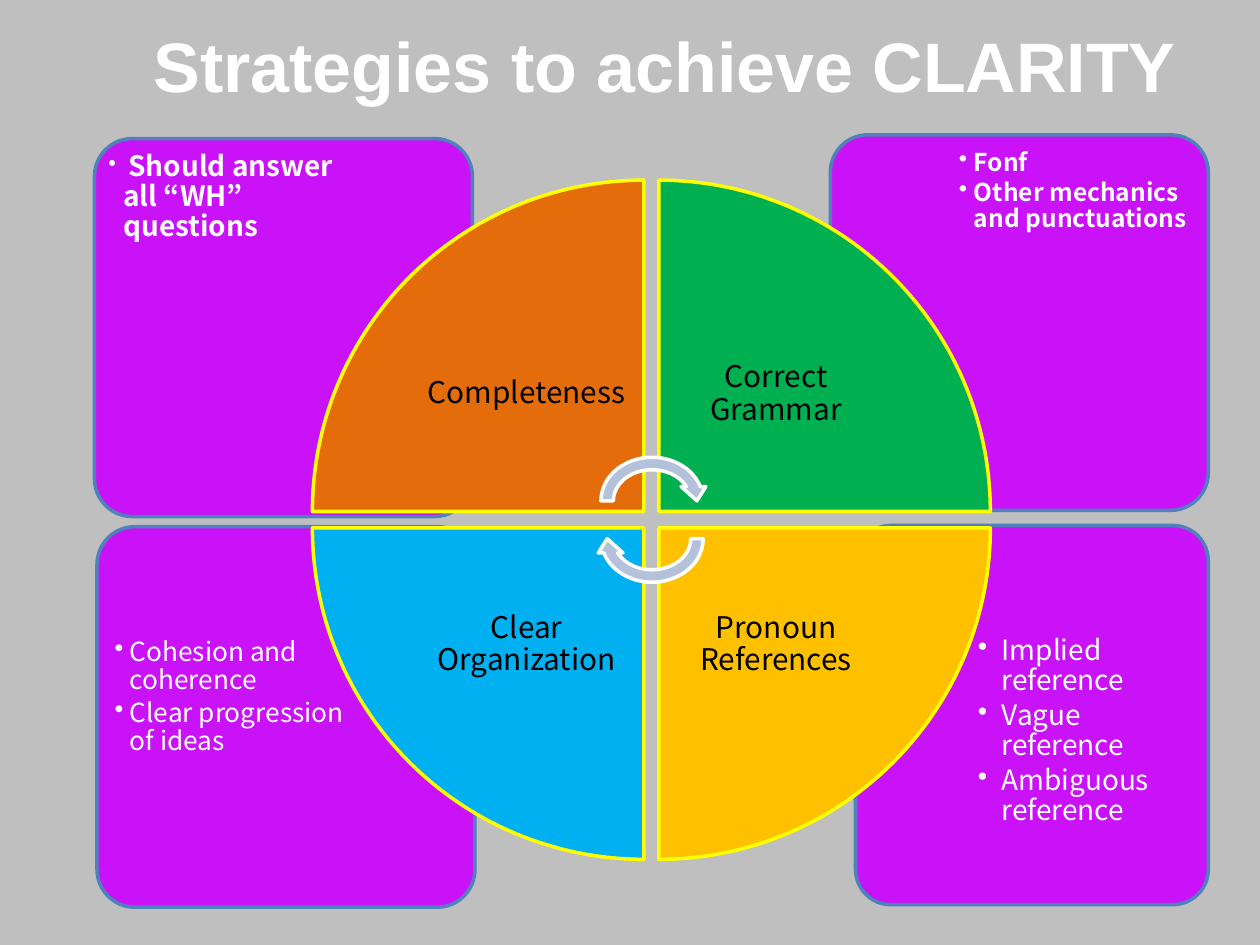
from dataclasses import dataclass

import pptx
import pptx.dml.color
import pptx.enum.shapes
import pptx.enum.text
import pptx.oxml
import pptx.oxml.ns
import pptx.util

Inches, Pt = pptx.util.Inches, pptx.util.Pt
RGB = pptx.dml.color.RGBColor
SHAPE = pptx.enum.shapes.MSO_SHAPE
ALIGN = pptx.enum.text.PP_ALIGN
ANCHOR = pptx.enum.text.MSO_ANCHOR
qn = pptx.oxml.ns.qn

GRAY = RGB(0xBF, 0xBF, 0xBF)
WHITE = RGB(0xFF, 0xFF, 0xFF)
BLACK = RGB(0, 0, 0)
PURPLE = RGB(0xCC, 0x00, 0xFF)
BLUE = RGB(0x4F, 0x81, 0xBD)
YELLOW = RGB(0xFF, 0xFF, 0x00)
ORANGE = RGB(0xE4, 0x6C, 0x0A)
GREEN = RGB(0x00, 0xB0, 0x50)
GOLD = RGB(0xFF, 0xC0, 0x00)
SKY = RGB(0x00, 0xB0, 0xF0)
ARROW = RGB(0xB3, 0xC1, 0xDB)
FONT = "Noto Sans CJK KR"

WEDGE, LABEL = 2.63, 1.86
COLS, ROWS = (2.48, 5.23), (1.43, 4.19)


@dataclass
class Panel:
    box: tuple[float, float, float, float]
    text_box: tuple[float, float, float, float]
    inset: float
    indent: float
    size: float
    bold: bool
    items: list[str]
    lead_size: float = 0  # size of a leading space run, if any


@dataclass
class Quadrant:
    label: str
    color: RGB
    col: int
    row: int
    rotation: int


PANELS = [
    Panel((6.79, 4.17, 2.8, 3.01), (7.69, 4.98, 1.85, 2.14), 0.07, 0.19, 16, False,
          ["Implied reference", "Vague reference", "Ambiguous reference"]),
    Panel((0.77, 4.18, 3, 3.02), (0.83, 4.99, 1.98, 2.15), 0.08, 0.12, 15, False,
          ["Cohesion and coherence", "Clear progression of ideas"]),
    Panel((6.59, 1.07, 3, 2.98), (7.55, 1.13, 1.98, 2.11), 0.06, 0.12, 14, True,
          ["Fonf", "Other mechanics and punctuations"]),
    Panel((0.75, 1.1, 3, 3), (0.81, 1.16, 1.98, 2.13), 0.05, 0.12, 16, True,
          ["Should answer all “WH” questions"], lead_size=13),
]
QUADRANTS = [
    Quadrant("Completeness", ORANGE, 0, 0, 0),
    Quadrant("Correct Grammar", GREEN, 1, 0, 90),
    Quadrant("Pronoun References", GOLD, 1, 1, 180),
    Quadrant("Clear Organization", SKY, 0, 1, 270),
]


def add_shape(s, kind, box, fill: RGB, line: RGB, rotation: float = 0):
    sp = s.shapes.add_shape(kind, *map(Inches, box))
    sp.shadow.inherit = False
    sp.fill.solid()
    sp.fill.fore_color.rgb = fill
    sp.line.color.rgb = line
    sp.line.width = Pt(2)
    sp.rotation = rotation
    return sp


def add_text_frame(s, box, inset: float):
    tf = s.shapes.add_textbox(*map(Inches, box)).text_frame
    tf.word_wrap = True
    tf.margin_left = tf.margin_right = Inches(inset)
    tf.margin_top = tf.margin_bottom = Inches(inset)
    return tf


def add_run(p, text: str, size: float, color: RGB, bold: bool = False, font: str = FONT) -> None:
    r = p.add_run()
    r.text = text
    r.font.name = font
    r.font.size = Pt(size)
    r.font.bold = bold
    r.font.color.rgb = color


def set_bullet(p, indent: float) -> None:
    pPr = p._p.get_or_add_pPr()
    pPr.set("marL", str(Inches(indent)))
    pPr.set("indent", str(-Inches(indent)))
    bu = pptx.oxml.parse_xml(
        '<a:buChar xmlns:a="http://schemas.openxmlformats.org/drawingml/2006/main" char="•"/>')
    pPr.append(bu)


def add_panel(s, panel: Panel) -> None:
    sp = add_shape(s, SHAPE.ROUNDED_RECTANGLE, panel.box, PURPLE, BLUE)
    sp.adjustments[0] = 0.1
    clr = sp.fill._xPr.find(qn("a:solidFill"))[0]
    clr.append(pptx.oxml.parse_xml(
        '<a:alpha xmlns:a="http://schemas.openxmlformats.org/drawingml/2006/main" val="90000"/>'))
    tf = add_text_frame(s, panel.text_box, panel.inset)
    for i, item in enumerate(panel.items):
        p = tf.add_paragraph() if i else tf.paragraphs[0]
        p.line_spacing = 0.9
        p.space_after = Pt(round(0.16 * panel.size, 1))
        set_bullet(p, panel.indent)
        if panel.lead_size:
            add_run(p, " ", panel.lead_size, WHITE)
        add_run(p, item, panel.size, WHITE, panel.bold)


def add_quadrant(s, q: Quadrant) -> None:
    x, y = COLS[q.col], ROWS[q.row]
    add_shape(s, SHAPE.PIE_WEDGE, (x, y, WEDGE, WEDGE), q.color, YELLOW, q.rotation)
    # The label sits in the wedge's inner corner
    gap = WEDGE - LABEL
    tf = add_text_frame(s, (x + gap * (1 - q.col), y + gap * (1 - q.row), LABEL, LABEL), 0.13)
    tf.vertical_anchor = ANCHOR.MIDDLE
    p = tf.paragraphs[0]
    p.alignment = ALIGN.CENTER
    p.line_spacing = 0.9
    add_run(p, q.label, 17, BLACK)


def add_title(s, text: str) -> None:
    sp = s.shapes.title
    sp.left, sp.top, sp.width, sp.height = map(Inches, (0.12, 0.02, 9.47, 0.98))
    tf = sp.text_frame
    tf.margin_left = Inches(1.1)
    tf.vertical_anchor = ANCHOR.MIDDLE
    p = tf.paragraphs[0]
    p.alignment = ALIGN.LEFT
    add_run(p, text, 40, WHITE, True, "Arial")


def main() -> None:
    prs = pptx.Presentation()
    prs.slide_width, prs.slide_height = Inches(10), Inches(7.5)
    s = prs.slides.add_slide(prs.slide_layouts[5])
    s.background.fill.solid()
    s.background.fill.fore_color.rgb = GRAY

    add_title(s, "Strategies to achieve CLARITY")
    for panel in PANELS:
        add_panel(s, panel)
    for q in QUADRANTS:
        add_quadrant(s, q)
    # Cycle arrows at the centre
    for top, rotation in ((3.58, 0), (3.88, 180)):
        add_shape(s, SHAPE.CIRCULAR_ARROW, (4.72, top, 0.91, 0.79), ARROW, WHITE, rotation)
    prs.save("out.pptx")


if __name__ == "__main__":
    main()
